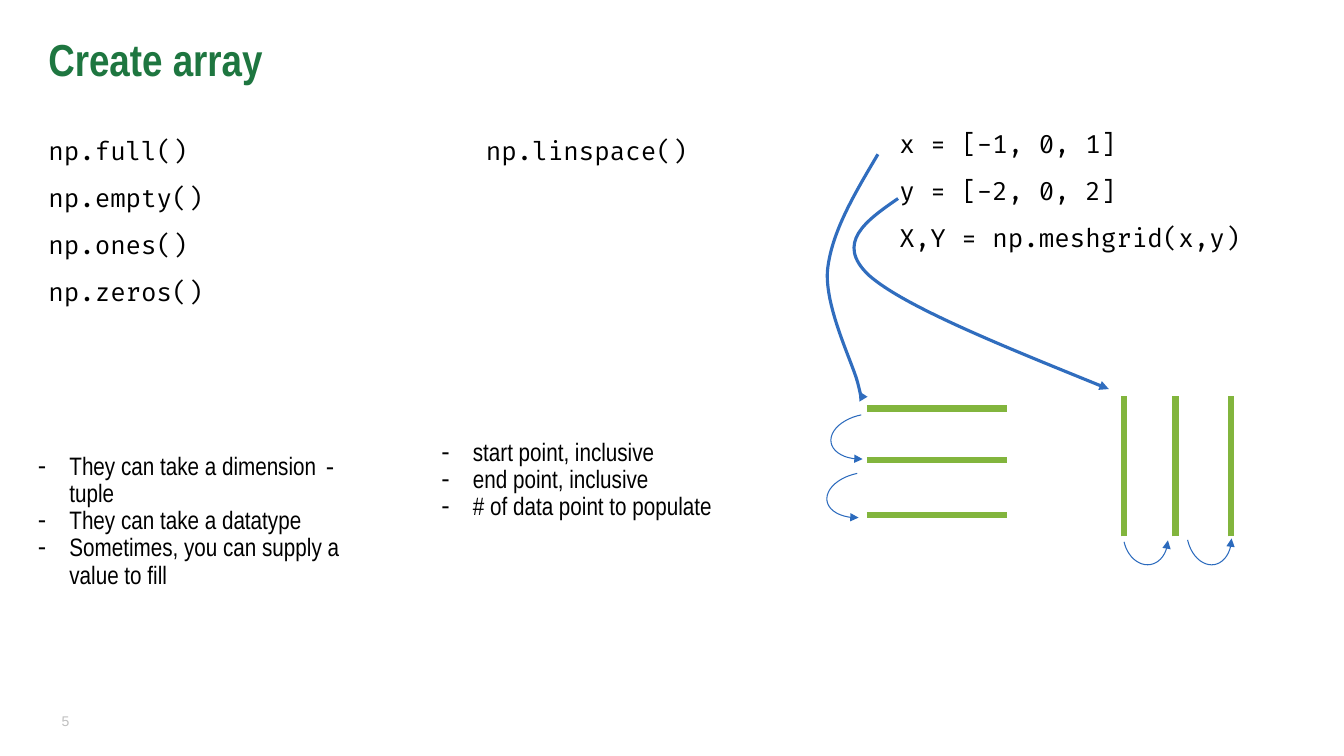
from pptx import Presentation
from pptx.dml.color import RGBColor
from pptx.enum.shapes import MSO_CONNECTOR, MSO_SHAPE
from pptx.enum.text import PP_ALIGN
from pptx.oxml.ns import qn
from pptx.util import Pt
from lxml.etree import SubElement

COLORS = {"title": "1E7640", "text": "000000", "number": "BFBFBF",
          "bar": "82B53D", "arc": "2B6ABD", "curve": "306DBE"}

# Each entry: lines, (left, top, width, height)
CODE_BLOCKS = [
    (["np.full()", "np.empty()", "np.ones()", "np.zeros()"], (27.4, 95.8, 180.7, 133.2)),
    (["np.linspace()"], (340, 95.8, 180.7, 133.2)),
    (["x = [-1, 0, 1]", "y = [-2, 0, 2]", "X,Y = np.meshgrid(x,y)"], (635.4, 90.7, 268.6, 133.2)),
]
NOTES = [
    (["They can take a dimension tuple", "They can take a datatype",
      "Sometimes, you can supply a value to fill"], (20, 320.4, 244.8, 125.3)),
    (["start point, inclusive", "end point, inclusive", "# of data point to populate"],
     (308.2, 310.3, 244.8, 85.7)),
]

BAR_OFFSETS = (0, 36.7, 76.3)
BAR_LENGTH = 100
ROWS_START = (619.2, 291.8)
COLUMNS_START = (803, 383.2)
ROW_ARCS = [(593.3, 295.9, 51.8, 31.7), (590.4, 337.7, 51.8, 31.7)]
COLUMN_ARCS = [(797.8, 367.2, 41, 31.7), (841.7, 365.8, 43.9, 31.7)]
ARC_DEGREES = (274.77, 69.77)

# Start point, then three Bezier points for each segment
X_CURVE = [(627.1, 110.2),
           (610.6, 138.2), (594, 165.6), (591.1, 193),
           (589, 219.6), (609.1, 259.2), (612.7, 273.6),
           (616.3, 288), (614.9, 283.7), (613.4, 279.4)]
Y_CURVE = [(641.5, 141.8),
           (618.5, 157.7), (596.2, 173.5), (620.6, 196.6),
           (645.8, 218.9), (719.3, 248.4), (792, 277.9)]


def color(name):
    return RGBColor.from_string(COLORS[name])


def add_text(page, lines, place, font="Arial Narrow", size=18, ink="text", bold=False,
             spacing=0.9, before=0, align=PP_ALIGN.LEFT, bullet=None, wrap=True, inset=None):
    box = page.shapes.add_textbox(*map(Pt, place))
    frame = box.text_frame
    frame.word_wrap = wrap
    if inset is not None:
        frame.margin_left = frame.margin_right = Pt(inset)
        frame.margin_top = frame.margin_bottom = Pt(inset)
    for index, line in enumerate(lines):
        para = frame.add_paragraph() if index else frame.paragraphs[0]
        para.alignment = align
        para.line_spacing = spacing
        para.space_before = Pt(before if index else 0)
        if bullet:
            properties = para._p.get_or_add_pPr()
            properties.set("marL", str(Pt(22.5)))
            properties.set("indent", str(-Pt(22.5)))
            SubElement(properties, qn("a:buFont")).set("typeface", "Arial")
            SubElement(properties, qn("a:buChar")).set("char", bullet)
        span = para.add_run()
        span.text = line
        span.font.name = font
        span.font.size = Pt(size)
        span.font.bold = bold
        span.font.color.rgb = color(ink)


def style_line(shape, ink, width, arrow=False):
    shape.line.color.rgb = color(ink)
    shape.line.width = Pt(width)
    if arrow:
        SubElement(shape.line._get_or_add_ln(), qn("a:tailEnd")).set("type", "triangle")


def add_bar(shapes, left, top, across, down):
    bar = shapes.add_connector(MSO_CONNECTOR.STRAIGHT, Pt(left), Pt(top),
                               Pt(left + across), Pt(top + down))
    style_line(bar, "bar", 4.5)
    SubElement(bar._element.spPr, qn("a:effectLst"))


def add_arc(shapes, place, rotation):
    arc = shapes.add_shape(MSO_SHAPE.ARC, *map(Pt, place))
    for index, degrees in enumerate(ARC_DEGREES):
        arc.adjustments[index] = degrees * 60000 / 100000
    arc.rotation = rotation
    arc._element.spPr.find(qn("a:xfrm")).set("flipH", "1")
    arc.fill.background()
    arc.shadow.inherit = False
    style_line(arc, "arc", 0.75, arrow=True)


def add_curve(shapes, points):
    """Draw an arrow through Bezier points, turning each three line steps into one curve."""
    (left, top), *steps = [(Pt(x), Pt(y)) for x, y in points]
    builder = shapes.build_freeform(left, top)
    builder.add_line_segments(steps, close=False)
    curve = builder.convert_to_shape()
    outline = next(curve._element.iter(qn("a:path")))
    line_steps = outline.findall(qn("a:lnTo"))
    for start in range(0, len(line_steps), 3):
        segment = SubElement(outline, qn("a:cubicBezTo"))
        for step in line_steps[start:start + 3]:
            segment.append(step[0])
            outline.remove(step)
    curve.fill.background()
    curve.shadow.inherit = False
    style_line(curve, "curve", 2.25, arrow=True)


def main():
    deck = Presentation()
    deck.slide_width, deck.slide_height = Pt(960), Pt(540)
    page = deck.slides.add_slide(deck.slide_layouts[6])

    add_text(page, ["5"], (27.2, 510.5, 22.3, 12.2), font="Arial", size=10, ink="number",
             align=PP_ALIGN.RIGHT, inset=0)
    add_text(page, ["Create array"], (27.4, 25.2, 899.3, 40.3), size=32, ink="title",
             bold=True, spacing=0.85)
    for lines, place in CODE_BLOCKS:
        add_text(page, lines, place, font="Fira Code", before=14)
    add_text(page, ["- "], (225.4, 320.4, 25.9, 26.6), font="Arial",
             align=PP_ALIGN.CENTER, wrap=False)
    for lines, place in NOTES:
        add_text(page, lines, place, bullet="-")

    rows = page.shapes.add_group_shape().shapes
    for offset in BAR_OFFSETS:
        add_bar(rows, ROWS_START[0], ROWS_START[1] + offset, BAR_LENGTH, 0)
        add_bar(page.shapes, COLUMNS_START[0] + offset, COLUMNS_START[1], 0, -BAR_LENGTH)
    for place in ROW_ARCS:
        add_arc(rows, place, 350.2)
    for place in COLUMN_ARCS:
        add_arc(page.shapes, place, 260.2)
    for points in (X_CURVE, Y_CURVE):
        add_curve(page.shapes, points)

    deck.save("out.pptx")


if __name__ == "__main__":
    main()
